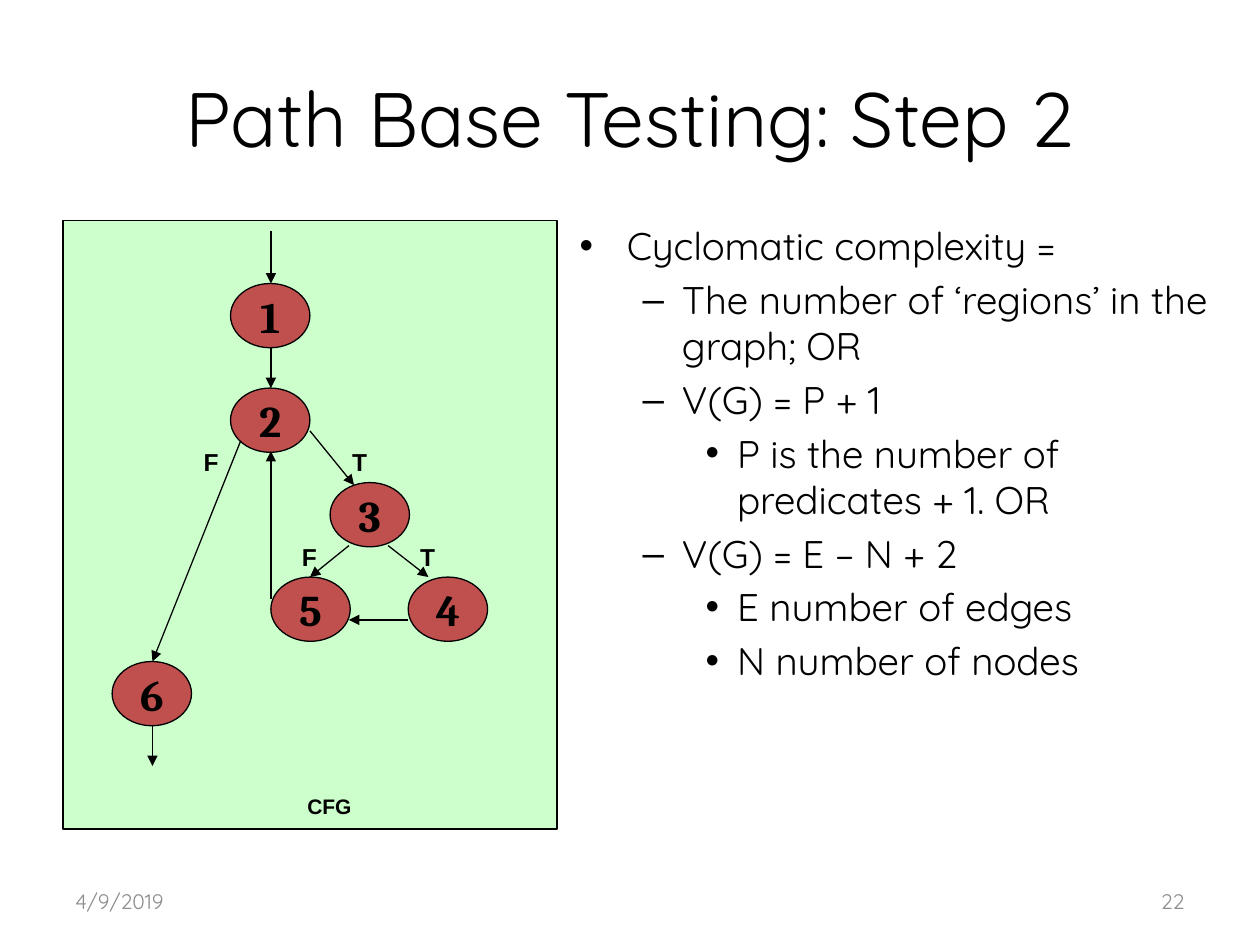
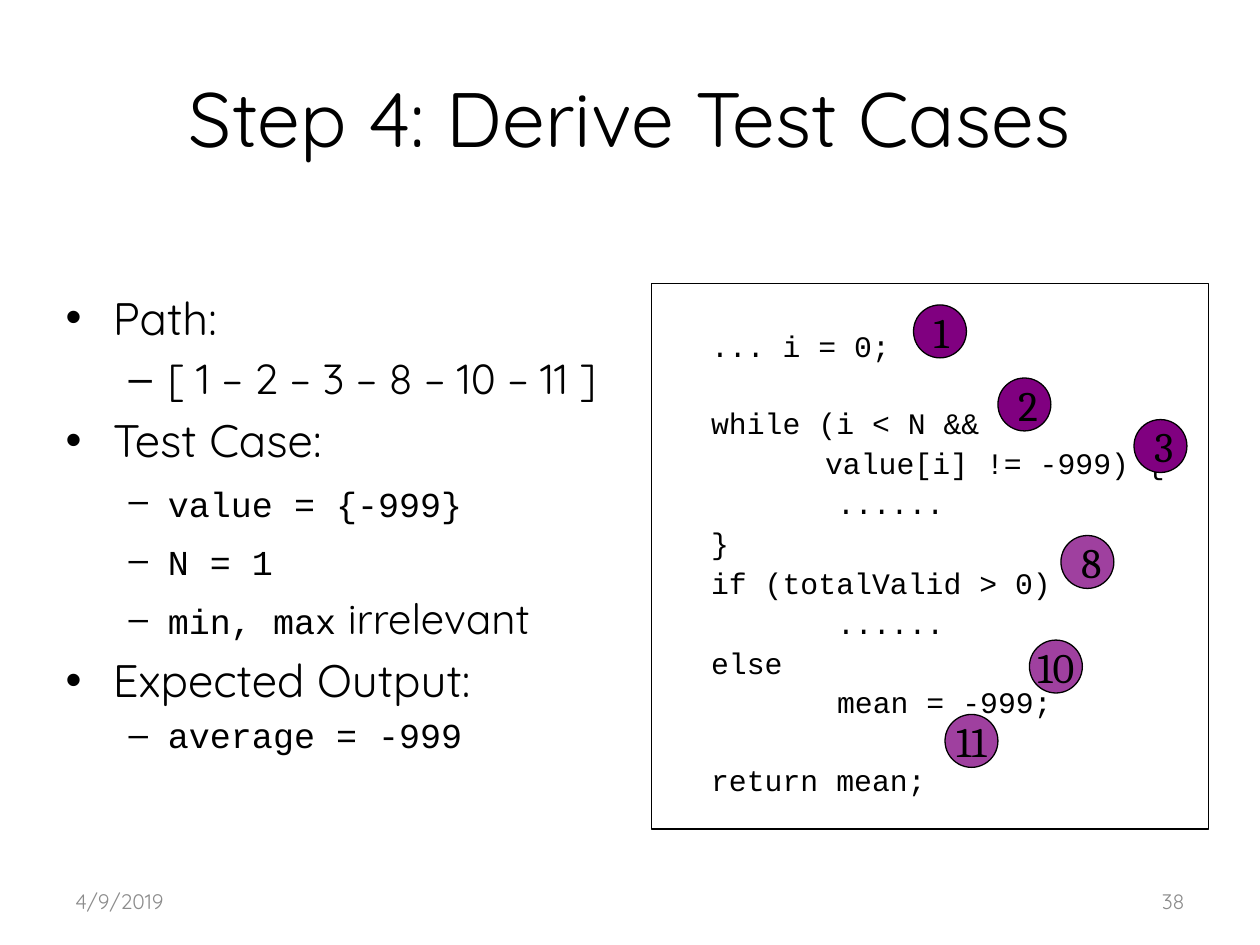
import dataclasses

import pptx
import pptx.dml.color
import pptx.enum.shapes
import pptx.enum.text
import pptx.oxml.ns
import pptx.oxml.xmlchemy
import pptx.util
from lxml import etree

EMU_PER_PX = 9144  # 100 px to the inch
SHAPES = pptx.enum.shapes.MSO_SHAPE
ALIGN = pptx.enum.text.PP_ALIGN
ANCHOR = pptx.enum.text.MSO_ANCHOR


@dataclasses.dataclass(frozen=True)
class Theme:
    ink: str = "000000"
    muted: str = "8C8C8C"
    graph_panel: str = "CCFFCC"
    graph_node: str = "C0504D"
    badge: str = "800080"
    text_font: str = "Quicksand"
    code_font: str = "Courier New"
    label_font: str = "Arial"
    number_font: str = "Cambria"
    title_size: int = 44
    footer_size: int = 12
    bullet_size: int = 22
    topic_size: int = 26
    detail_size: int = 24
    code_bullet_size: int = 20
    code_size: int = 17
    node_size: int = 25
    badge_size: int = 24
    edge_label_size: int = 14
    caption_size: int = 12
    thin_line: float = 0.75
    panel_line: float = 1


def px(length):
    return pptx.util.Emu(round(length * EMU_PER_PX))


def colour(value):
    return pptx.dml.color.RGBColor.from_string(value)


class Deck:
    def __init__(self, theme):
        self.theme = theme
        self.presentation = pptx.Presentation()
        self.presentation.slide_width = px(1000)
        self.presentation.slide_height = px(750)
        self.slide = None

    def start_slide(self, title, number):
        theme = self.theme
        self.slide = self.presentation.slides.add_slide(self.presentation.slide_layouts[1])
        placeholder = self.slide.shapes.title
        self.place(placeholder, (50, 30, 900, 125))
        placeholder.text_frame.auto_size = pptx.enum.text.MSO_AUTO_SIZE.NONE
        self.run(placeholder.text_frame.paragraphs[0], title, theme.title_size, theme.text_font)
        for text, left, align in (("4/9/2019", 50, ALIGN.LEFT), (number, 717, ALIGN.RIGHT)):
            self.text((left, 695, 233, 40), text, theme.footer_size, theme.text_font,
                      theme.muted, align=align, anchor=ANCHOR.MIDDLE)

    def place(self, shape, box):
        shape.left, shape.top, shape.width, shape.height = map(px, box)

    def run(self, paragraph, text, size, font, ink=None, bold=False):
        run = paragraph.add_run()
        run.text = text
        run.font.size = pptx.util.Pt(size)
        run.font.name = font
        run.font.bold = bold
        run.font.color.rgb = colour(ink or self.theme.ink)

    def text(self, box, text, size, font, ink=None, bold=False,
             align=ALIGN.CENTER, anchor=ANCHOR.TOP):
        frame = self.slide.shapes.add_textbox(*map(px, box)).text_frame
        frame.word_wrap = True
        frame.vertical_anchor = anchor
        paragraph = frame.paragraphs[0]
        paragraph.alignment = align
        self.run(paragraph, text, size, font, ink, bold)

    def bullets(self, box, items):
        """Fill the body with (level, runs) items; each run is (text, size, font)."""
        body = self.slide.placeholders[1]
        self.place(body, box)
        frame = body.text_frame
        frame.auto_size = pptx.enum.text.MSO_AUTO_SIZE.NONE
        for index, (level, runs) in enumerate(items):
            paragraph = frame.add_paragraph() if index else frame.paragraphs[0]
            paragraph.level = level
            for text, size, font in runs:
                self.run(paragraph, text, size, font)

    def shape(self, kind, box, fill=None, line_width=None, opacity=100):
        shape = self.slide.shapes.add_shape(kind, *map(px, box))
        shape.shadow.inherit = False
        shape.line.color.rgb = colour(self.theme.ink)
        shape.line.width = pptx.util.Pt(line_width or self.theme.thin_line)
        if fill is None:
            shape.fill.background()
            return shape
        shape.fill.solid()
        shape.fill.fore_color.rgb = colour(fill)
        if opacity < 100:
            tint = shape.fill._xPr.find(".//" + pptx.oxml.ns.qn("a:srgbClr"))
            etree.SubElement(tint, pptx.oxml.ns.qn("a:alpha"), val=str(opacity * 1000))
        return shape

    def numbered_ellipse(self, box, number, fill, size, bold=False,
                         align=ALIGN.CENTER, opacity=100):
        ellipse = self.shape(SHAPES.OVAL, box, fill, opacity=opacity)
        frame = ellipse.text_frame
        frame.word_wrap = False
        frame.vertical_anchor = ANCHOR.MIDDLE
        paragraph = frame.paragraphs[0]
        paragraph.alignment = align
        self.run(paragraph, number, size, self.theme.number_font, bold=bold)

    def arrow(self, *ends):
        connector = self.slide.shapes.add_connector(
            pptx.enum.shapes.MSO_CONNECTOR.STRAIGHT, *map(px, ends))
        connector.line.color.rgb = colour(self.theme.ink)
        connector.line.width = pptx.util.Pt(self.theme.thin_line)
        line = connector.line._get_or_add_ln()
        etree.SubElement(line, pptx.oxml.ns.qn("a:tailEnd"), type="triangle")
        etree.SubElement(connector._element.spPr, pptx.oxml.ns.qn("a:effectLst"))

    def code(self, box, lines, line_gap, blank_line):
        """Write (indent, blank line before, text) lines in an outlined box."""
        frame = self.shape(SHAPES.RECTANGLE, box).text_frame
        frame.word_wrap = True
        frame.vertical_anchor = ANCHOR.TOP
        frame.margin_top = px(38)
        for index, (indent, after_blank, text) in enumerate(lines):
            paragraph = frame.add_paragraph() if index else frame.paragraphs[0]
            paragraph.alignment = ALIGN.LEFT
            paragraph.line_spacing = 0.9
            gap = line_gap + blank_line * after_blank if index else 0
            paragraph.space_before = pptx.util.Pt(gap)
            paragraph._p.get_or_add_pPr().set("marL", str(px(indent)))
            self.run(paragraph, text, self.theme.code_size, self.theme.code_font)


def build_control_flow_slide(deck):
    theme = deck.theme
    deck.start_slide("Path Base Testing: Step 2", "22")
    deck.shape(SHAPES.RECTANGLE, (50, 175, 392, 483), theme.graph_panel, theme.panel_line)
    nodes = {"1": (183, 225), "2": (183, 308), "3": (262, 383),
             "4": (324, 458), "5": (215, 458), "6": (89, 525)}
    for number, (left, top) in nodes.items():
        deck.numbered_ellipse((left, top, 63, 51), number, theme.graph_node,
                              theme.node_size, bold=True)
    edges = (
        (215, 183, 215, 225),
        (215, 275, 215, 308),
        (246, 342, 281, 385),
        (277, 433, 246, 458),
        (308, 433, 340, 458),
        (324, 492, 277, 492),
        (215, 475, 215, 358),
        (191, 350, 121, 525),
        (121, 575, 121, 608),
    )
    for edge in edges:
        deck.arrow(*edge)
    for branch, left, top in (("T", 262, 350), ("F", 144, 350), ("T", 316, 425), ("F", 222, 425)):
        deck.text((left, top, 47, 33), branch, theme.edge_label_size, theme.label_font, bold=True)
    deck.text((230, 625, 63, 30), "CFG", theme.caption_size, theme.label_font, bold=True)

    formulas = (
        (0, "Cyclomatic complexity ="),
        (1, "The number of ‘regions’ in the graph; OR"),
        (1, "V(G) = P + 1"),
        (2, "P is the number of predicates + 1. OR"),
        (1, "V(G) = E – N + 2"),
        (2, "E number of edges"),
        (2, "N number of nodes"),
    )
    deck.bullets((450, 171, 550, 275),
                 [(level, [(text, theme.bullet_size, theme.text_font)])
                  for level, text in formulas])


def build_test_case_slide(deck):
    theme = deck.theme
    deck.start_slide("Step 4: Derive Test Cases", "38")

    def topic(text):
        return 0, [(text, theme.topic_size, theme.text_font)]

    def detail(code="", words=""):
        runs = [(code, theme.code_bullet_size, theme.code_font),
                (words, theme.detail_size, theme.text_font)]
        return 1, [run for run in runs if run[0]]

    deck.bullets((42, 225, 467, 400), (
        topic("Path:"),
        detail(words="[ 1 – 2 – 3 – 8 – 10 – 11 ]"),
        topic("Test Case:"),
        detail("value = {-999}", " "),
        detail("N = 1", " "),
        detail("min, max", " irrelevant"),
        topic("Expected Output:"),
        detail("average = -999"),
    ))

    outer, condition, inner = 37.5, 128, 137.5
    deck.code((517, 225, 442, 433), (
        (outer, False, "... i = 0;"),
        (outer, True, "while (i < N &&"),
        (condition, False, "value[i] != -999) {"),
        (inner, False, "......"),
        (outer, False, "}"),
        (outer, False, "if (totalValid > 0)"),
        (inner, False, "......"),
        (outer, False, "else"),
        (inner, False, "mean = -999;"),
        (outer, True, "return mean;"),
    ), line_gap=4.4, blank_line=21.8)

    badges = (("1", 725, 242, 100), ("2", 792, 300, 100), ("3", 900, 333, 100),
              ("8", 842, 425, 75), ("10", 817, 508, 75), ("11", 750, 567, 75))
    for number, left, top, opacity in badges:
        align = ALIGN.LEFT if len(number) == 1 else ALIGN.CENTER
        deck.numbered_ellipse((left, top, 42, 42), number, theme.badge, theme.badge_size,
                              align=align, opacity=opacity)


def main():
    deck = Deck(Theme())
    build_control_flow_slide(deck)
    build_test_case_slide(deck)
    deck.presentation.save("out.pptx")


if __name__ == "__main__":
    main()
